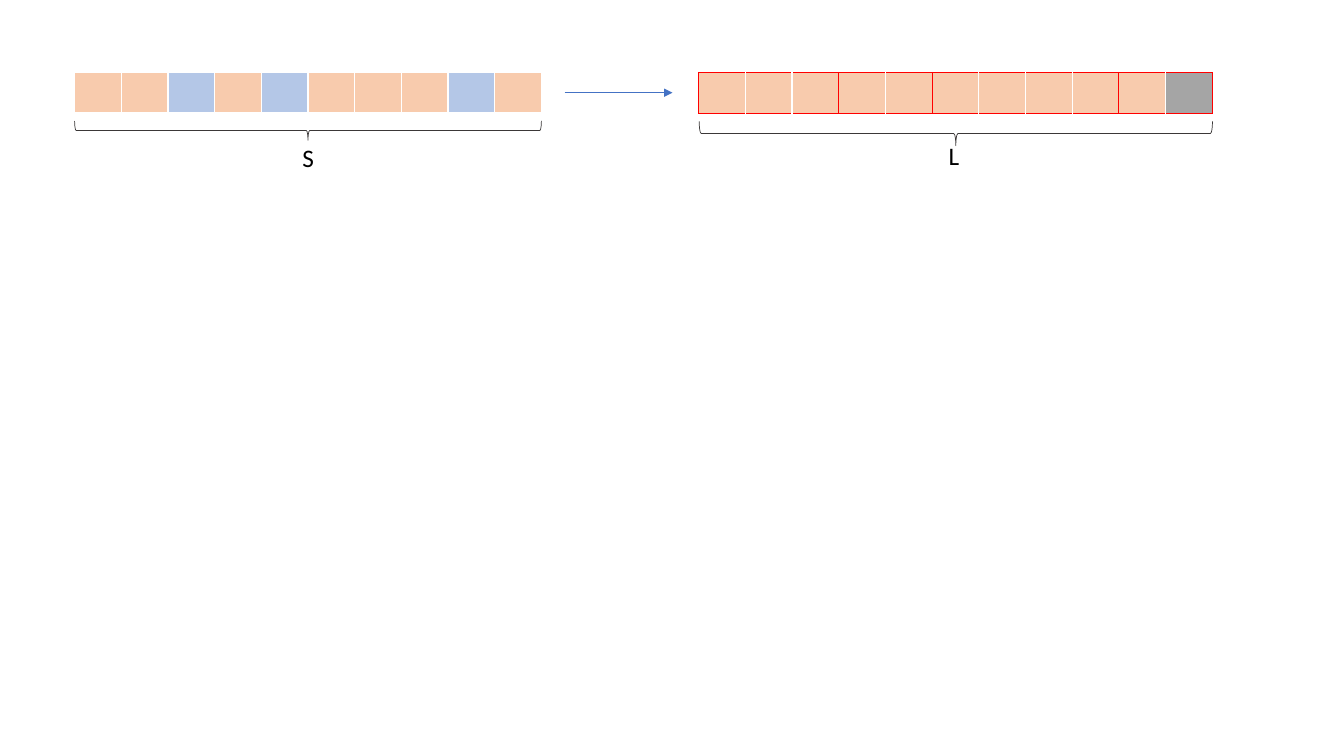
from lxml import etree
from pptx import Presentation
from pptx.dml.color import RGBColor
from pptx.enum.shapes import MSO_CONNECTOR, MSO_SHAPE
from pptx.enum.text import MSO_AUTO_SIZE
from pptx.oxml.ns import qn
from pptx.util import Inches, Pt

STRAIGHT = MSO_CONNECTOR.STRAIGHT
LEFT_BRACE = MSO_SHAPE.LEFT_BRACE
FIT_SHAPE = MSO_AUTO_SIZE.SHAPE_TO_FIT_TEXT

WHITE = RGBColor(0xFF, 0xFF, 0xFF)
BLACK = RGBColor(0x00, 0x00, 0x00)
RED = RGBColor(0xFF, 0x00, 0x00)
ORANGE = RGBColor(0xF8, 0xCB, 0xAD)
LIGHT_BLUE = RGBColor(0xB4, 0xC7, 0xE7)
GRAY = RGBColor(0xA5, 0xA5, 0xA5)
ARROW_BLUE = RGBColor(0x44, 0x72, 0xC4)
BRACE_GRAY = RGBColor(0x3B, 0x38, 0x38)

ROW_TOP, ROW_HEIGHT, CELL_WIDTH = 0.72, 0.41, 0.463


def set_border(cell, side, color, width):
    line = etree.SubElement(cell._tc.get_or_add_tcPr(), qn(f"a:ln{side}"), w=str(Pt(width)))
    fill = etree.SubElement(line, qn("a:solidFill"))
    etree.SubElement(fill, qn("a:srgbClr"), val=str(color))


def add_cell_row(left, fills, left_color, right_colors, top, bottom):
    count = len(fills)
    table = slide.shapes.add_table(
        1, count, Inches(left), Inches(ROW_TOP),
        Inches(CELL_WIDTH * count), Inches(ROW_HEIGHT)).table
    for index, fill in enumerate(fills):
        table.columns[index].width = Inches(CELL_WIDTH)
        cell = table.cell(0, index)
        # A cell shares its left border with the cell before it
        set_border(cell, "L", right_colors[index - 1] if index else left_color, 1)
        set_border(cell, "R", right_colors[index], 1)
        set_border(cell, "T", *top)
        set_border(cell, "B", *bottom)
        cell.fill.solid()
        cell.fill.fore_color.rgb = fill


presentation = Presentation()
presentation.slide_width = Inches(13.33)
presentation.slide_height = Inches(7.5)
slide = presentation.slides.add_slide(presentation.slide_layouts[6])

# Sequence S, with three marked cells
marked = {2, 4, 8}
s_fills = [LIGHT_BLUE if index in marked else ORANGE for index in range(10)]
add_cell_row(0.74, s_fills, WHITE, [WHITE] * 10, (WHITE, 1), (WHITE, 3))

# Sequence L, with red dividers at the marked positions and a gray last cell
l_fills = [ORANGE] * 10 + [GRAY]
l_dividers = [RED if index in marked | {10} else WHITE for index in range(11)]
add_cell_row(6.93, l_fills, RED, l_dividers, (RED, 1), (RED, 1))

# Arrow from S to L
arrow = slide.shapes.add_connector(
    STRAIGHT, Inches(5.6), Inches(0.92), Inches(6.67), Inches(0.92))
arrow.line.color.rgb = ARROW_BLUE
arrow.line.width = Pt(0.5)
etree.SubElement(arrow.line._get_or_add_ln(), qn("a:tailEnd"), type="triangle")
etree.SubElement(arrow._element.spPr, qn("a:effectLst"))

# Braces and labels under the sequences
for label, brace_box, label_box in (
    ("S", (2.96, -1.02, 0.19, 4.63), (2.9, 1.36, 0.32, 0.4)),
    ("L", (9.36, -1.22, 0.24, 5.09), (9.31, 1.34, 0.31, 0.4)),
):
    brace = slide.shapes.add_shape(LEFT_BRACE, *map(Inches, brace_box))
    brace.rotation = 270
    brace.shadow.inherit = False
    brace.fill.background()
    brace.line.color.rgb = BRACE_GRAY
    brace.line.width = Pt(0.5)

    text_frame = slide.shapes.add_textbox(*map(Inches, label_box)).text_frame
    text_frame.word_wrap = False
    text_frame.auto_size = FIT_SHAPE
    text_frame.text = label
    font = text_frame.paragraphs[0].runs[0].font
    font.name = "Calibri"
    font.size = Pt(18)
    font.color.rgb = BLACK

presentation.save("out.pptx")
